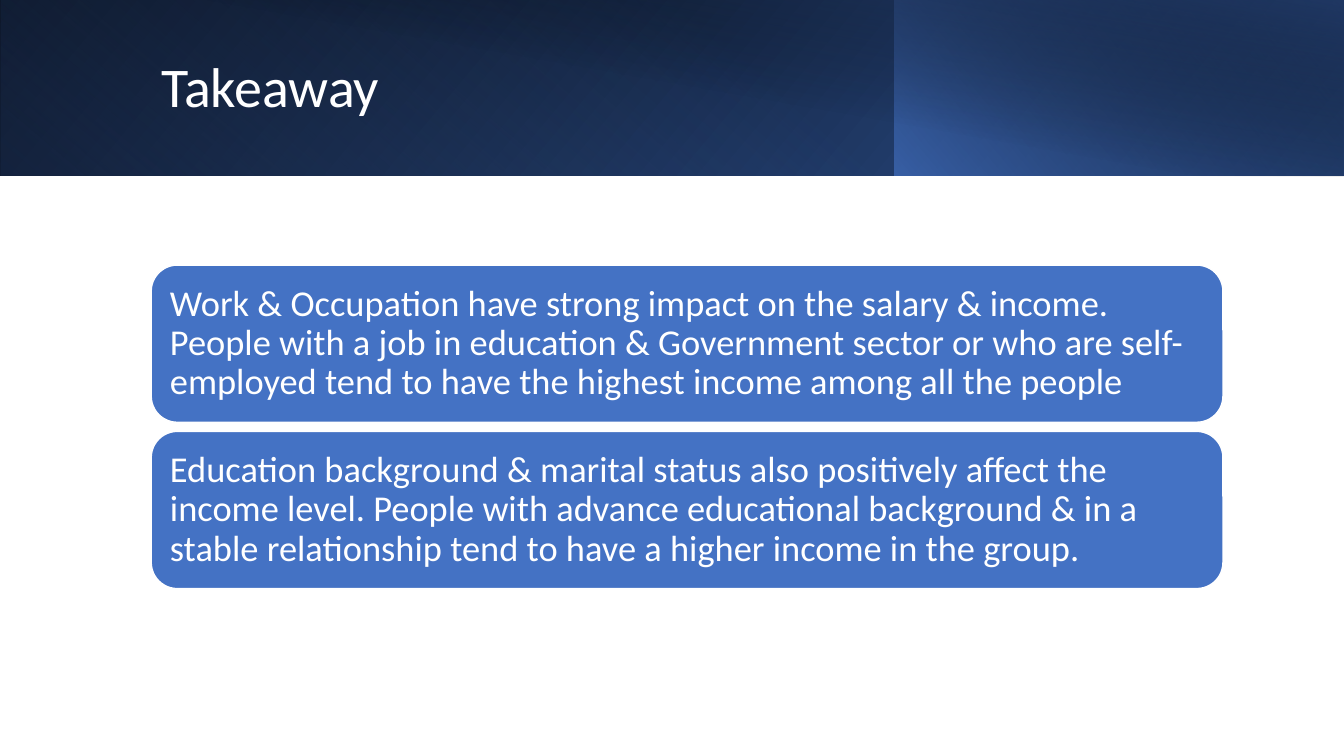
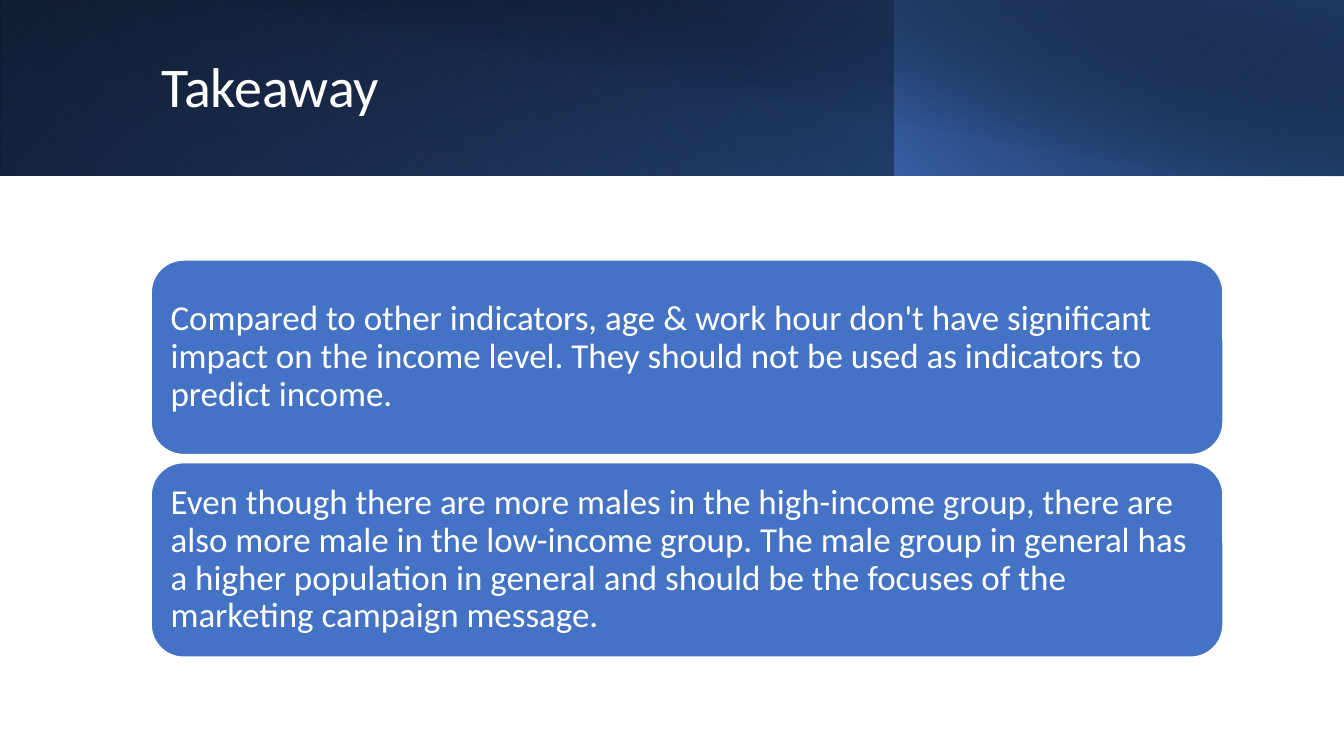
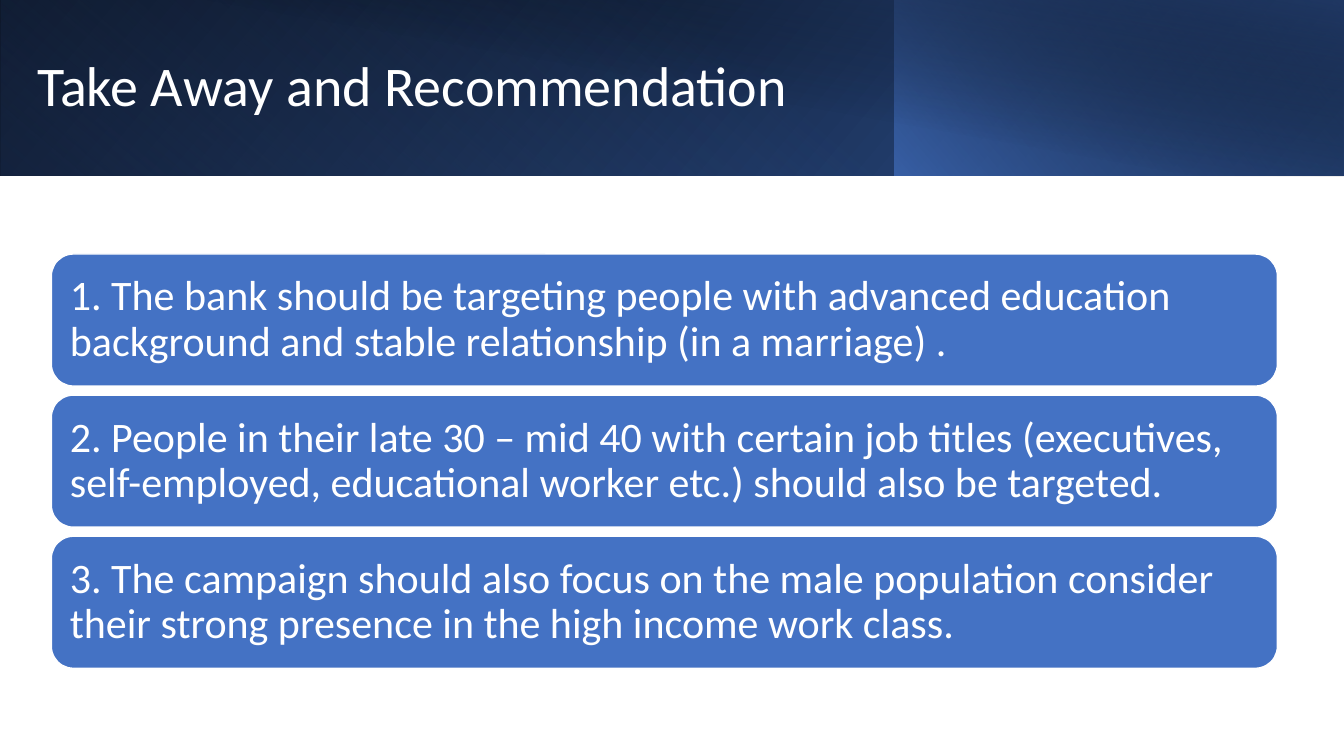
"""Build three takeaway slides with a shared gradient header band."""
from dataclasses import dataclass

import lxml.etree
import pptx
import pptx.dml.color
import pptx.enum.shapes
import pptx.enum.text
import pptx.oxml.ns
import pptx.presentation
import pptx.shapes.autoshape
import pptx.slide
import pptx.text.text
import pptx.util

Inches = pptx.util.Inches
Pt = pptx.util.Pt
RGBColor = pptx.dml.color.RGBColor
Shapes = pptx.enum.shapes.MSO_SHAPE
qn = pptx.oxml.ns.qn


@dataclass(frozen=True)
class Theme:
    font: str = "Calibri"
    title_size: int = 40
    line_spacing: float = 0.9
    accent: str = "4472C4"
    navy: str = "203864"
    blue: str = "2F5597"
    black: str = "000000"
    white: str = "FFFFFF"


@dataclass(frozen=True)
class Stop:
    position: int
    color: str
    opacity: int = 100


@dataclass(frozen=True)
class BandLayer:
    left: float
    width: float
    height: float
    angle: int
    stops: tuple[Stop, ...]
    flipped: bool = True
    rotation: int = 0


@dataclass(frozen=True)
class Page:
    title: str
    title_left: float
    title_top: float
    left: float
    top: float
    width: float
    card_height: float
    gap: float
    inset: float
    size: int
    messages: tuple[str, ...]


THEME = Theme()

BAND = (
    BandLayer(0, 13.33, 1.74, 140, (Stop(0, THEME.black), Stop(100, THEME.blue))),
    BandLayer(0, 8.88, 1.74, 230,
              (Stop(20, THEME.accent, 0), Stop(100, THEME.navy, 55)), rotation=180),
    BandLayer(8.87, 4.46, 1.74, 220,
              (Stop(0, THEME.accent, 66), Stop(100, THEME.black, 30))),
    BandLayer(0.5, 12.83, 1.75, 280,
              (Stop(50, THEME.black, 0), Stop(99, THEME.navy, 52)), flipped=False),
)

PAGES = (
    Page("Takeaway", 1.5, 0.32, 1.5, 2.63, 10.63, 1.56, 0.09, 0.11, 26, (
        "Work & Occupation have strong impact on the salary & income. People with a job "
        "in education & Government sector or who are self-employed tend to have the "
        "highest income among all the people",
        "Education background & marital status also positively affect the income level. "
        "People with advance educational background & in a stable relationship tend to "
        "have a higher income in the group.",
    )),
    Page("Takeaway", 1.5, 0.32, 1.5, 2.58, 10.63, 1.93, 0.08, 0.1, 25, (
        "Compared to other indicators, age & work hour don't have significant impact on "
        "the income level. They should not be used as indicators to predict income.",
        "Even though there are more males in the high-income group, there are also more "
        "male in the low-income group. The male group in general has a higher population "
        "in general and should be the focuses of the marketing campaign message.",
    )),
    Page("Take Away and Recommendation", 0.27, 0.31, 0.51, 2.52, 12.16, 1.31, 0.09, 0.12, 30, (
        "1. The bank should be targeting people with advanced education background and "
        "stable relationship (in a marriage) .",
        "2. People in their late 30 – mid 40 with certain job titles (executives, "
        "self-employed, educational worker etc.) should also be targeted.",
        "3. The campaign should also focus on the male population consider their strong "
        "presence in the high income work class.",
    )),
)


def set_gradient(shape: pptx.shapes.autoshape.Shape, layer: BandLayer) -> None:
    """Give a shape the linear gradient of its layer, with opacity per stop."""
    gradient = lxml.etree.Element(qn("a:gradFill"))
    stop_list = lxml.etree.SubElement(gradient, qn("a:gsLst"))
    for stop in layer.stops:
        mark = lxml.etree.SubElement(stop_list, qn("a:gs"), pos=str(stop.position * 1000))
        color = lxml.etree.SubElement(mark, qn("a:srgbClr"), val=stop.color)
        if stop.opacity < 100:
            lxml.etree.SubElement(color, qn("a:alpha"), val=str(stop.opacity * 1000))
    lxml.etree.SubElement(gradient, qn("a:lin"), ang=str(layer.angle * 60000), scaled="0")
    shape._element.spPr.find(qn("a:prstGeom")).addnext(gradient)


def add_band(slide: pptx.slide.Slide) -> None:
    """Draw the layered header band."""
    for layer in BAND:
        panel = slide.shapes.add_shape(
            Shapes.RECTANGLE, Inches(layer.left), 0, Inches(layer.width), Inches(layer.height))
        panel.shadow.inherit = False
        panel.line.fill.background()
        panel.rotation = layer.rotation
        if layer.flipped:
            panel._element.spPr.find(qn("a:xfrm")).set("flipH", "1")
        set_gradient(panel, layer)


def write(frame: pptx.text.text.TextFrame, text: str, size: int) -> None:
    """Write one white, left-aligned, vertically centred paragraph."""
    frame.word_wrap = True
    frame.vertical_anchor = pptx.enum.text.MSO_ANCHOR.MIDDLE
    paragraph = frame.paragraphs[0]
    paragraph.text = text
    paragraph.alignment = pptx.enum.text.PP_ALIGN.LEFT
    paragraph.line_spacing = THEME.line_spacing
    paragraph.font.name = THEME.font
    paragraph.font.size = Pt(size)
    paragraph.font.color.rgb = RGBColor.from_string(THEME.white)


def add_card(slide: pptx.slide.Slide, page: Page, index: int) -> None:
    """Draw one rounded message card at its place in the stack."""
    top = page.top + index * (page.card_height + page.gap)
    card = slide.shapes.add_shape(
        Shapes.ROUNDED_RECTANGLE, Inches(page.left), Inches(top),
        Inches(page.width), Inches(page.card_height))
    card.shadow.inherit = False
    card.fill.solid()
    card.fill.fore_color.rgb = RGBColor.from_string(THEME.accent)
    card.line.color.rgb = RGBColor.from_string(THEME.white)
    card.line.width = Pt(1)
    frame = card.text_frame
    frame.margin_left = frame.margin_right = Inches(page.inset)
    frame.margin_top = frame.margin_bottom = Inches(page.inset)
    write(frame, page.messages[index], page.size)


def add_page(deck: pptx.presentation.Presentation, page: Page) -> None:
    """Add one slide with band, title and message cards."""
    slide = deck.slides.add_slide(deck.slide_layouts[6])
    add_band(slide)
    title = slide.shapes.add_textbox(
        Inches(page.title_left), Inches(page.title_top), Inches(10.82), Inches(1.13))
    write(title.text_frame, page.title, THEME.title_size)
    for index in range(len(page.messages)):
        add_card(slide, page, index)


def main() -> None:
    """Build and save the deck."""
    deck = pptx.Presentation()
    deck.slide_width = Inches(13.33)
    deck.slide_height = Inches(7.5)
    for page in PAGES:
        add_page(deck, page)
    deck.save("out.pptx")


if __name__ == "__main__":
    main()
